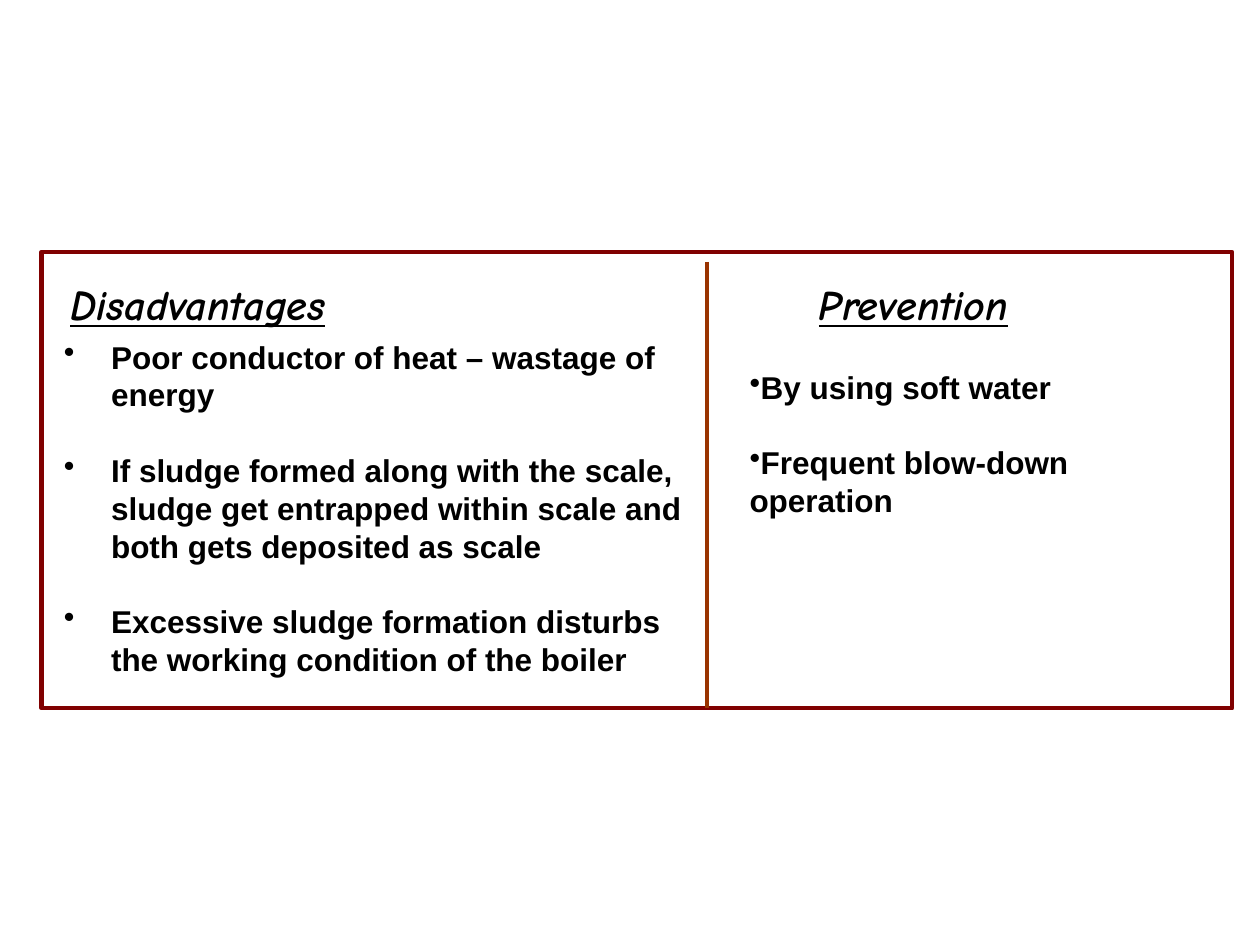
from dataclasses import dataclass

from lxml import etree
from pptx import Presentation
from pptx import util as u
from pptx.dml.color import RGBColor
from pptx.enum import shapes, text
from pptx.oxml.ns import qn

HEADING_FORMAT = {"name": "Comic Neue", "size": u.Pt(24), "bold": True,
                  "italic": True, "underline": True}
POINT_FORMAT = {"name": "Arial", "size": u.Pt(18), "bold": True}
LINE_FACTOR = 1.2


@dataclass
class TextBlock:
    left: float
    top: float
    width: float
    height: float
    paragraphs: list[str]
    font_format: dict
    wrap: bool = False
    bulleted: bool = False
    hanging: float = 0


def color(hex_value: str) -> RGBColor:
    return RGBColor.from_string(hex_value)


def set_line(line, hex_value: str, points: float) -> None:
    line.color.rgb = color(hex_value)
    line.width = u.Pt(points)


def add_bullet(paragraph, hanging: float) -> None:
    properties = paragraph._p.get_or_add_pPr()
    indent = int(u.Cm(hanging))
    properties.set("marL", str(indent))
    properties.set("indent", str(-indent))
    etree.SubElement(properties, qn("a:buChar")).set("char", "•")


def draw_text(slide, block: TextBlock) -> None:
    box = slide.shapes.add_textbox(u.Cm(block.left), u.Cm(block.top),
                                   u.Cm(block.width), u.Cm(block.height))
    frame = box.text_frame
    frame.word_wrap = block.wrap
    frame.auto_size = text.MSO_AUTO_SIZE.SHAPE_TO_FIT_TEXT
    line_height = u.Pt(block.font_format["size"].pt * LINE_FACTOR)
    for index, wording in enumerate(block.paragraphs):
        paragraph = frame.paragraphs[0] if index == 0 else frame.add_paragraph()
        paragraph.line_spacing = line_height
        if index:
            paragraph.space_before = line_height  # one empty line between points
        if block.bulleted:
            add_bullet(paragraph, block.hanging)
        run = paragraph.add_run()
        run.text = wording
        for attribute, value in block.font_format.items():
            setattr(run.font, attribute, value)
        run.font.color.rgb = color("000000")


def main() -> None:
    prs = Presentation()
    prs.slide_width, prs.slide_height = u.Cm(25.4), u.Cm(19.05)
    slide = prs.slides.add_slide(prs.slide_layouts[6])

    # Frame around both columns
    frame = slide.shapes.add_shape(shapes.MSO_SHAPE.RECTANGLE, u.Cm(0.84),
                                   u.Cm(5.08), u.Cm(24), u.Cm(9.2))
    frame.shadow.inherit = False
    frame.fill.solid()
    frame.fill.fore_color.rgb = color("FFFFFF")
    set_line(frame.line, "800000", 2.5)

    # Headings and points of the two columns
    blocks = [
        TextBlock(1.17, 5.49, 6.27, 1.27, ["Disadvantages"], HEADING_FORMAT),
        TextBlock(1.04, 6.68, 13.41, 7.11, [
            "Poor conductor of heat – wastage of energy",
            "If sludge formed along with the scale, sludge get entrapped "
            "within scale and both gets deposited as scale",
            "Excessive sludge formation disturbs the working condition "
            "of the boiler",
        ], POINT_FORMAT, wrap=True, bulleted=True, hanging=0.95),
        TextBlock(16.26, 5.49, 4.7, 1.27, ["Prevention"], HEADING_FORMAT),
        TextBlock(14.86, 7.29, 10, 2.54, [
            "By using soft water",
            "Frequent blow-down operation",
        ], POINT_FORMAT, bulleted=True),
    ]
    for block in blocks:
        draw_text(slide, block)

    # Divider between the columns
    divider = slide.shapes.add_connector(shapes.MSO_CONNECTOR.STRAIGHT,
                                         u.Cm(14.25), u.Cm(5.28),
                                         u.Cm(14.25), u.Cm(14.28))
    set_line(divider.line, "993300", 2)
    etree.SubElement(divider._element.spPr, qn("a:effectLst"))

    prs.save("out.pptx")


if __name__ == "__main__":
    main()
